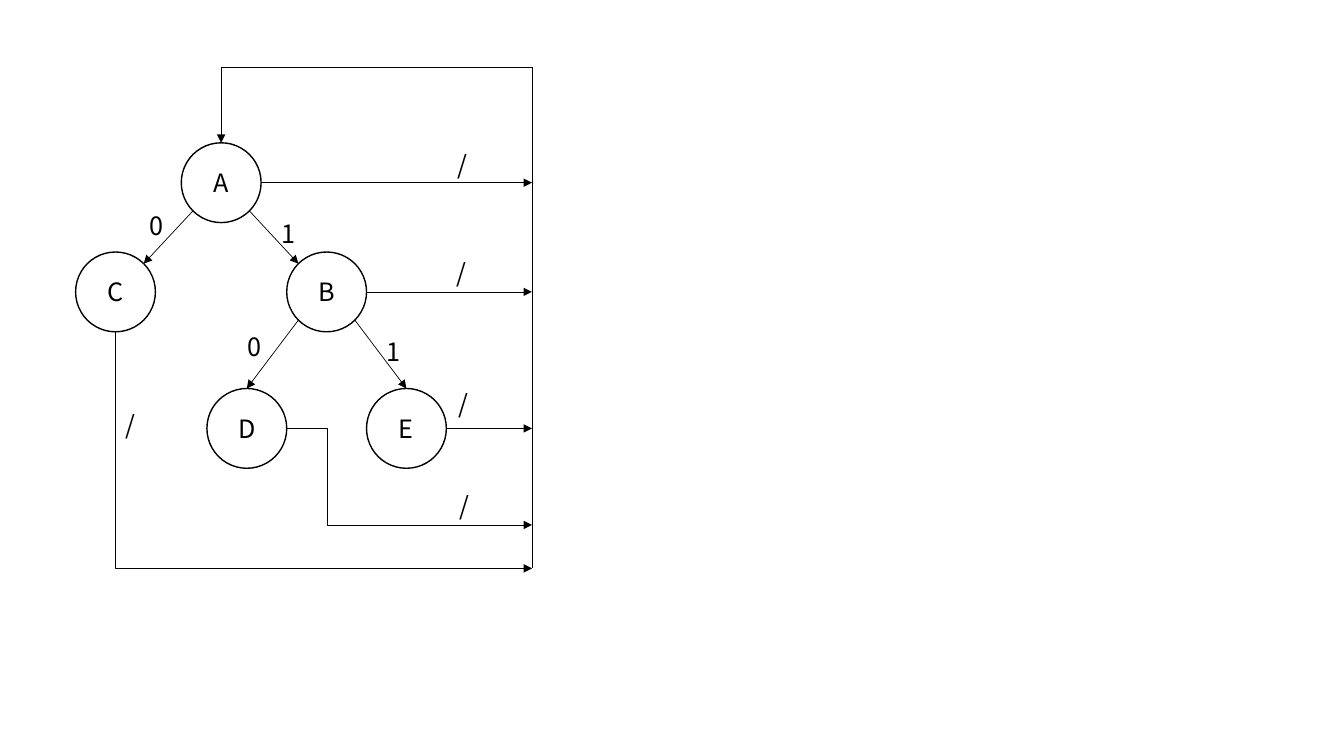
from math import sqrt

from lxml.etree import SubElement
from pptx import Presentation
from pptx.dml.color import RGBColor
from pptx.enum.shapes import MSO_CONNECTOR, MSO_SHAPE
from pptx.enum.text import MSO_ANCHOR, MSO_AUTO_SIZE, PP_ALIGN
from pptx.oxml.ns import qn
from pptx.util import Pt

BLACK = RGBColor(0, 0, 0)
WHITE = RGBColor(255, 255, 255)
FONT = "Noto Sans CJK KR"
RADIUS = 28.5
DIAGONAL = RADIUS / sqrt(2)

# Node centres, relative to the tree's box
NODES = {
    "A": (104, 82.5),
    "C": (28.5, 160.5),
    "B": (179.3, 160.5),
    "D": (122.3, 258),
    "E": (236.3, 258),
}
# Edge label, left, top and width, relative to the tree's box
LABELS = [
    ("0", 46, 99, 24.5),
    ("0", 116, 185.3, 24.5),
    ("1", 139.7, 104.6, 24.5),
    ("1", 215.3, 188.9, 24.5),
    ("/", 28.8, 240.7, 21.6),
    ("/", 266.4, 225.6, 21.6),
    ("/", 267.1, 299, 21.6),
    ("/", 265, 132, 21.6),
    ("/", 265.7, 55, 21.6),
]
LABEL_HEIGHT = 28.8
D_EXIT = 327  # height at which D's exit meets the return line


def write(shape, text, align):
    para = shape.text_frame.paragraphs[0]
    para.text = text
    para.alignment = align
    para.font.name = FONT
    para.font.size = Pt(18)
    para.font.color.rgb = BLACK


def add_node(shapes, name, x, y):
    node = shapes.add_shape(MSO_SHAPE.OVAL, Pt(x - RADIUS), Pt(y - RADIUS),
                            Pt(2 * RADIUS), Pt(2 * RADIUS))
    node.shadow.inherit = False
    node.fill.solid()
    node.fill.fore_color.rgb = WHITE
    node.line.color.rgb = BLACK
    node.line.width = Pt(1)
    node.text_frame.vertical_anchor = MSO_ANCHOR.MIDDLE
    write(node, name, PP_ALIGN.CENTER)


def add_label(shapes, text, x, y, width):
    label = shapes.add_textbox(Pt(x), Pt(y), Pt(width), Pt(LABEL_HEIGHT))
    label.text_frame.word_wrap = False
    label.text_frame.auto_size = MSO_AUTO_SIZE.SHAPE_TO_FIT_TEXT
    write(label, text, PP_ALIGN.LEFT)


def add_line(shapes, start, end, kind=MSO_CONNECTOR.STRAIGHT, arrow=True):
    line = shapes.add_connector(kind, *(Pt(value) for value in (*start, *end)))
    line.line.color.rgb = BLACK
    line.line.width = Pt(0.5)
    properties = line._element.spPr
    if arrow:
        SubElement(properties.find(qn("a:ln")), qn("a:tailEnd"), type="triangle")
    SubElement(properties, qn("a:effectLst"))
    return line


def add_step(shapes, start, end, bend):
    """Horizontal, vertical, horizontal; bend is the share of the width."""
    step = add_line(shapes, start, end, MSO_CONNECTOR.ELBOW)
    guides = step._element.spPr.find(qn("a:prstGeom")).get_or_add_avLst()
    SubElement(guides, qn("a:gd"), name="adj1", fmla=f"val {round(bend * 100000)}")


def add_corner(shapes, start, end, down_first=False):
    """One right angle, leaving sideways or, with down_first, downwards."""
    if down_first:
        # A quarter turn about the centre swaps width and height
        middle_x, middle_y = (start[0] + end[0]) / 2, (start[1] + end[1]) / 2
        half_x, half_y = (end[1] - start[1]) / 2, (end[0] - start[0]) / 2
        start = middle_x - half_x, middle_y - half_y
        end = middle_x + half_x, middle_y + half_y
    corner = add_line(shapes, start, end, MSO_CONNECTOR.ELBOW)
    properties = corner._element.spPr
    properties.find(qn("a:prstGeom")).set("prst", "bentConnector2")
    if down_first:
        turn = properties.find(qn("a:xfrm"))
        turn.set("rot", str(270 * 60000))
        turn.set("flipH", "1")


def draw_tree(page, left, top, width, height):
    shapes = page.shapes.add_group_shape().shapes
    right, bottom = left + width, top + height
    centres = {name: (left + x, top + y) for name, (x, y) in NODES.items()}

    def rim(name, across, down):
        x, y = centres[name]
        return x + across, y + down

    for name, centre in centres.items():
        add_node(shapes, name, *centre)

    # Branches
    for parent, child, side in (("A", "C", -1), ("A", "B", 1)):
        add_line(shapes, rim(parent, side * DIAGONAL, DIAGONAL),
                 rim(child, -side * DIAGONAL, -DIAGONAL))
    for child, side in (("D", -1), ("E", 1)):
        add_line(shapes, rim("B", side * DIAGONAL, DIAGONAL), rim(child, 0, -RADIUS))

    # Return line and the exits that lead to it
    add_line(shapes, (right, top), (right, bottom), arrow=False)
    for name in "ABE":
        start = rim(name, RADIUS, 0)
        add_line(shapes, start, (right, start[1]))
    add_step(shapes, rim("D", RADIUS, 0), (right, top + D_EXIT), 0.167)
    add_corner(shapes, rim("C", 0, RADIUS), (right, bottom), down_first=True)
    add_corner(shapes, (right, top), rim("A", 0, -RADIUS))

    # Edge labels
    for text, x, y, label_width in LABELS:
        add_label(shapes, text, left + x, top + y, label_width)


deck = Presentation()
deck.slide_width, deck.slide_height = Pt(960), Pt(540)
page = deck.slides.add_slide(deck.slide_layouts[6])
draw_tree(page, 54, 48, 326, 358)
deck.save("out.pptx")
